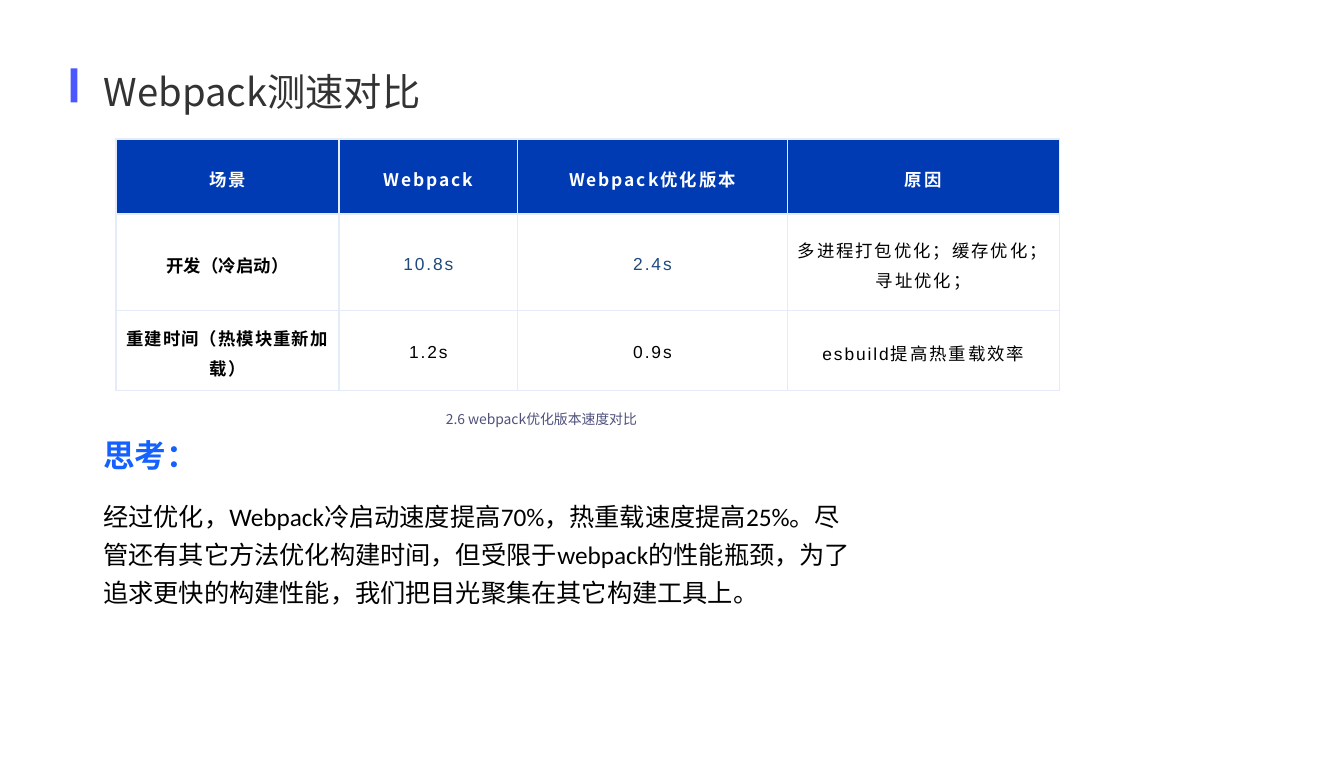
from lxml import etree
from pptx import Presentation
from pptx import util as u
from pptx.dml.color import RGBColor
from pptx.enum import shapes, text
from pptx.oxml.ns import qn

HEADING_FONT = "Noto Sans CJK SC"
LEFT = 0.81  # shared left edge of the text blocks, inches


def paint(target, color):
    """Give a fill a solid colour."""
    target.solid()
    target.fore_color.rgb = RGBColor.from_string(color)


def write(shape, box, words, font, size, color, line=None, bold=False):
    """Place a text shape and fill it with one formatted paragraph."""
    shape.left, shape.top, shape.width, shape.height = map(u.Inches, box)
    frame = shape.text_frame
    frame.word_wrap = True
    frame.auto_size = text.MSO_AUTO_SIZE.NONE
    frame.vertical_anchor = text.MSO_ANCHOR.TOP
    frame.text = words
    paragraph = frame.paragraphs[0]
    paragraph.alignment = text.PP_ALIGN.LEFT
    if line:
        paragraph.line_spacing = u.Pt(line)
    paragraph.font.name, paragraph.font.size = font, u.Pt(size)
    paragraph.font.bold = bold
    paint(paragraph.font.fill, color)


presentation = Presentation()
presentation.slide_width = u.Cm(30)
presentation.slide_height = u.Cm(17)
slide = presentation.slides.add_slide(presentation.slide_layouts[5])

# Title with its accent bar
write(slide.shapes.title, (LEFT, 0.13, 6.53, 0.8), "Webpack测速对比",
      HEADING_FONT, 24.2, "333333", line=59)
bar = slide.shapes.add_shape(shapes.MSO_SHAPE.RECTANGLE, u.Inches(0.62),
                             u.Inches(0.6), u.Inches(0.06), u.Inches(0.3))
bar.shadow.inherit = False
paint(bar.fill, "4B58FF")
bar.line.fill.background()

# Speed table
rows = [
    ["场景", "Webpack", "Webpack优化版本", "原因"],
    ["开发（冷启动）", "10.8s", "2.4s", "多进程打包优化；缓存优化；寻址优化；"],
    ["重建时间（热模块重新加载）", "1.2s", "0.9s", "esbuild提高热重载效率"],
]
column_widths = [1.96, 1.57, 2.37, 2.39]
row_heights = [0.66, 0.85, 0.7]
label_spacing = [120, 0, 60]  # letter spacing of the first column, 1/100 pt
table = slide.shapes.add_table(
    len(rows), len(column_widths), u.Inches(1.02), u.Inches(1.22),
    u.Inches(sum(column_widths)), u.Inches(sum(row_heights))).table
for column, width in zip(table.columns, column_widths):
    column.width = u.Inches(width)

for r, row in enumerate(rows):
    table.rows[r].height = u.Inches(row_heights[r])
    for c, words in enumerate(row):
        cell = table.cell(r, c)
        cell.text = words
        cell.vertical_anchor = text.MSO_ANCHOR.MIDDLE
        cell.margin_left = cell.margin_right = u.Inches(0.09)
        cell.margin_top = cell.margin_bottom = u.Inches(0.05)
        header, measured = r == 0, r == 1 and c in (1, 2)

        paragraph = cell.text_frame.paragraphs[0]
        paragraph.alignment = text.PP_ALIGN.CENTER
        paragraph.line_spacing = 1.2
        paragraph.font.name = HEADING_FONT if header else "Arial"
        paragraph.font.size = u.Pt(11)
        paragraph.font.bold = header or c == 0
        paint(paragraph.font.fill,
              "FFFFFF" if header else "1F497D" if measured else "000000")
        spacing = label_spacing[r] if c == 0 else 120
        paragraph.runs[0]._r.get_or_add_rPr().set("spc", str(spacing))

        # Borders go before the fill in the cell properties
        properties = cell._tc.get_or_add_tcPr()
        for side in ("a:lnL", "a:lnR", "a:lnT", "a:lnB"):
            border = etree.SubElement(properties, qn(side), w=str(u.Pt(1)))
            solid = etree.SubElement(border, qn("a:solidFill"))
            etree.SubElement(solid, qn("a:srgbClr"), val="E3ECF8")
        paint(cell.fill, "003BB3" if header else "FFFFFF")

# Caption, subheading and conclusion
blocks = [
    ((3.82, 3.49, 3, 0.29), "2.6 webpack优化版本速度对比",
     HEADING_FONT, 8.8, "4F517C", 15.1, False),
    ((LEFT, 3.78, 3.42, 0.44), "思考：", "Calibri", 20, "1461FF", None, True),
    ((LEFT, 4.29, 6.84, 1.07),
     "经过优化，Webpack冷启动速度提高70%，热重载速度提高25%。"
     "尽管还有其它方法优化构建时间，但受限于webpack的性能瓶颈，"
     "为了追求更快的构建性能，我们把目光聚集在其它构建工具上。",
     "Calibri", 16, "000000", 24, False),
]
for box, *style in blocks:
    write(slide.shapes.add_textbox(0, 0, 0, 0), box, *style)

presentation.save("out.pptx")
